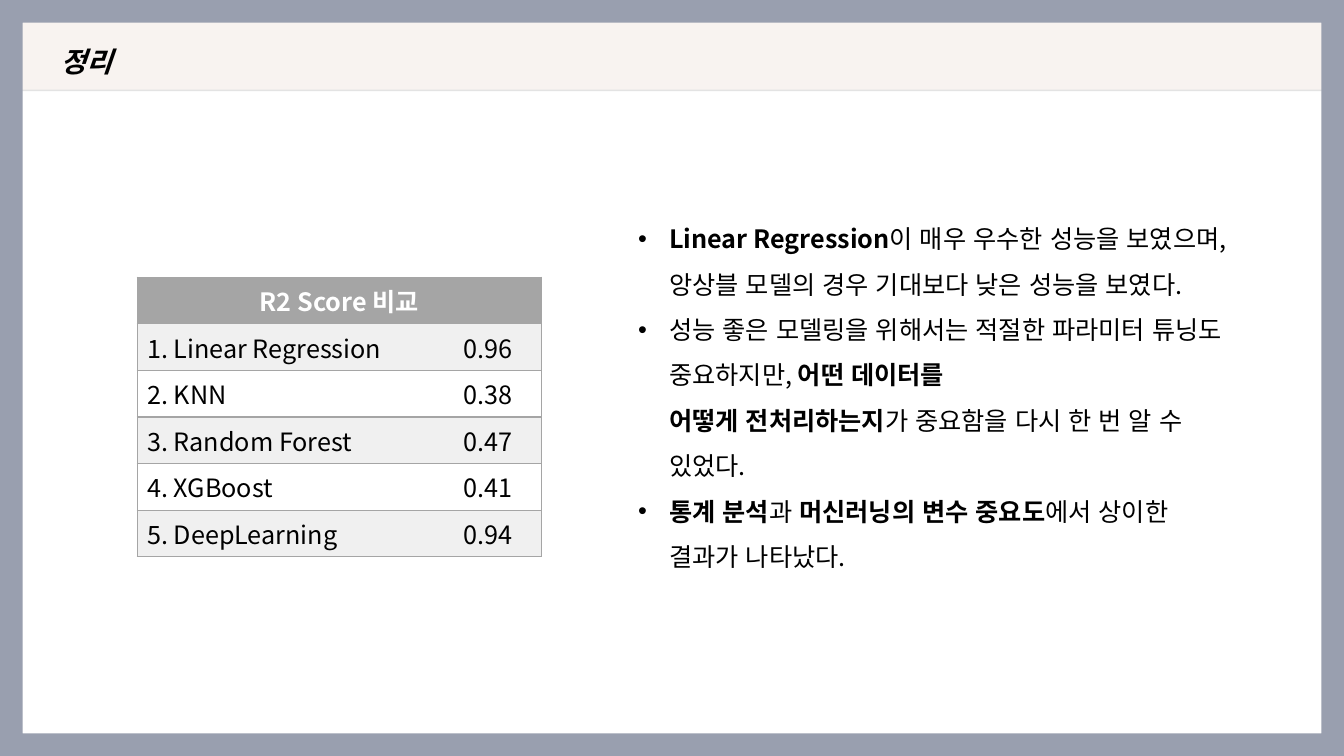
from lxml import etree
from pptx import Presentation
from pptx.dml.color import RGBColor
from pptx.enum.lang import MSO_LANGUAGE_ID as Language
from pptx.enum.shapes import MSO_SHAPE as Preset
from pptx.enum.text import MSO_ANCHOR as Anchor, MSO_AUTO_SIZE as AutoSize, PP_ALIGN as Align
from pptx.oxml import parse_xml
from pptx.oxml.ns import nsdecls, qn
from pptx.util import Inches, Pt

BLACK = RGBColor(0x00, 0x00, 0x00)
WHITE = RGBColor(0xFF, 0xFF, 0xFF)
CREAM = RGBColor(0xF8, 0xF3, 0xF0)
SLATE = RGBColor(0x99, 0x9F, 0xAF)
GRAY = RGBColor(0xA5, 0xA5, 0xA5)
PALE = RGBColor(0xF0, 0xF0, 0xF0)

WIDTH, HEIGHT = Inches(13.33), Inches(7.5)
NBSP = chr(160)

SCORES = [
    ("Linear Regression", "0.96"),
    ("KNN", "0.38"),
    ("Random Forest", "0.47"),
    ("XGBoost", "0.41"),
    ("DeepLearning", "0.94"),
]

# Each finding is a list of (text, bold) runs.
FINDINGS = [
    [("Linear Regression", True),
     ("이 매우 우수한 성능을 보였으며, 앙상블 모델의 경우 기대보다 낮은 성능을 보였다.", False)],
    [("성능 좋은 모델링을 위해서는 적절한 파라미터 튜닝도 중요하지만, ", False),
     (f"어떤 데이터를 어떻게{NBSP}전처리하는지", True),
     (f"가{NBSP}중요함을 다시 한 번 알 수 있었다.", False)],
    [("통계 분석", True), (f"과{NBSP}", False),
     (f"머신러닝의{NBSP}변수 중요도", True),
     (f"에서{NBSP}상이한 결과가 나타났다.", False)],
]


class SlideBuilder:
    font = "Noto Sans CJK KR"
    body_size = 18
    title_size = 20

    def __init__(self, slide):
        self.slide = slide

    def add_run(self, paragraph, text, bold=False, italic=False, color=BLACK, size=body_size):
        run = paragraph.add_run()
        run.text = text
        run.font.size = Pt(size)
        run.font.bold = bold
        run.font.italic = italic
        run.font.color.rgb = color
        run.font.name = self.font
        run.font.language_id = Language.KOREAN
        east_asian = etree.SubElement(run.font._element, qn("a:ea"))
        east_asian.set("typeface", self.font)
        return run

    def title_band(self, text, height):
        band = self.slide.shapes.title
        band.left, band.top, band.width, band.height = 0, 0, WIDTH, height
        band.fill.solid()
        band.fill.fore_color.rgb = CREAM
        band._element.spPr.append(parse_xml(
            f'<a:effectLst {nsdecls("a")}><a:outerShdw dist="12700" dir="5400000">'
            '<a:srgbClr val="000000"><a:alpha val="11000"/></a:srgbClr>'
            '</a:outerShdw></a:effectLst>'))
        frame = band.text_frame
        frame.auto_size = AutoSize.NONE
        frame.vertical_anchor = Anchor.MIDDLE
        paragraph = frame.paragraphs[0]
        paragraph.alignment = Align.LEFT
        paragraph.line_spacing = 2.0
        paragraph._p.get_or_add_pPr().set("marL", str(Inches(0.5)))
        self.add_run(paragraph, text, bold=True, italic=True, size=self.title_size)

    def border_frame(self, thickness):
        border = self.slide.shapes.add_shape(Preset.FRAME, 0, 0, WIDTH, HEIGHT)
        border.adjustments[0] = thickness
        border.fill.solid()
        border.fill.fore_color.rgb = SLATE
        border.line.fill.background()
        border.shadow.inherit = False

    def style_cell(self, cell, fill, hidden_edges=""):
        """Fill the cell and draw its edges, except those named by letter (L, R)."""
        properties = cell._tc.get_or_add_tcPr()
        for edge in "LRTB":
            paint = ("<a:noFill/>" if edge in hidden_edges
                     else f'<a:solidFill><a:srgbClr val="{GRAY}"/></a:solidFill>')
            properties.append(parse_xml(
                f'<a:ln{edge} {nsdecls("a")} w="12700">{paint}</a:ln{edge}>'))
        cell.fill.solid()
        cell.fill.fore_color.rgb = fill

    def score_table(self, heading, scores, left, top, column_widths, row_height):
        row_count = len(scores) + 1
        table = self.slide.shapes.add_table(
            row_count, len(column_widths), left, top,
            sum(column_widths), row_height * row_count).table
        for column, width in zip(table.columns, column_widths):
            column.width = width
        for row in table.rows:
            row.height = row_height

        header = table.cell(0, 0)
        header.merge(table.cell(0, 1))
        for cell in table.rows[0].cells:
            self.style_cell(cell, GRAY)
        paragraph = header.text_frame.paragraphs[0]
        paragraph.alignment = Align.CENTER
        self.add_run(paragraph, heading, bold=True, color=WHITE)

        for rank, (model, score) in enumerate(scores, start=1):
            fill = PALE if rank % 2 else WHITE
            label = f"{rank}. {model}".replace(" ", NBSP)
            columns = [(label, Align.LEFT, "R"), (score, Align.CENTER, "L")]
            for cell, (text, alignment, hidden) in zip(table.rows[rank].cells, columns):
                self.style_cell(cell, fill, hidden)
                paragraph = cell.text_frame.paragraphs[0]
                paragraph.alignment = alignment
                self.add_run(paragraph, text)

    def bullet_list(self, items, left, top, width, height):
        frame = self.slide.shapes.add_textbox(left, top, width, height).text_frame
        frame.word_wrap = True
        frame.auto_size = AutoSize.SHAPE_TO_FIT_TEXT
        indent = Inches(0.31)
        for index, runs in enumerate(items):
            paragraph = frame.add_paragraph() if index else frame.paragraphs[0]
            paragraph.line_spacing = 1.5
            properties = paragraph._p.get_or_add_pPr()
            properties.set("marL", str(indent))
            properties.set("indent", str(-indent))
            etree.SubElement(properties, qn("a:buFont")).set("typeface", "Arial")
            etree.SubElement(properties, qn("a:buChar")).set("char", "•")
            for text, bold in runs:
                run = self.add_run(paragraph, text, bold)
                run.font._element.set("kern", "0")


def main():
    presentation = Presentation()
    presentation.slide_width, presentation.slide_height = WIDTH, HEIGHT
    title_only = presentation.slide_layouts[5]
    summary = SlideBuilder(presentation.slides.add_slide(title_only))

    summary.title_band("정리", Inches(0.89))
    summary.border_frame(0.03)
    summary.score_table("R2 Score 비교", SCORES, Inches(1.36), Inches(2.75),
                        [Inches(2.96), Inches(1.05)], Inches(0.46))
    summary.bullet_list(FINDINGS, Inches(6.23), Inches(2.02), Inches(6.1), Inches(3.68))
    presentation.save("out.pptx")


if __name__ == "__main__":
    main()
